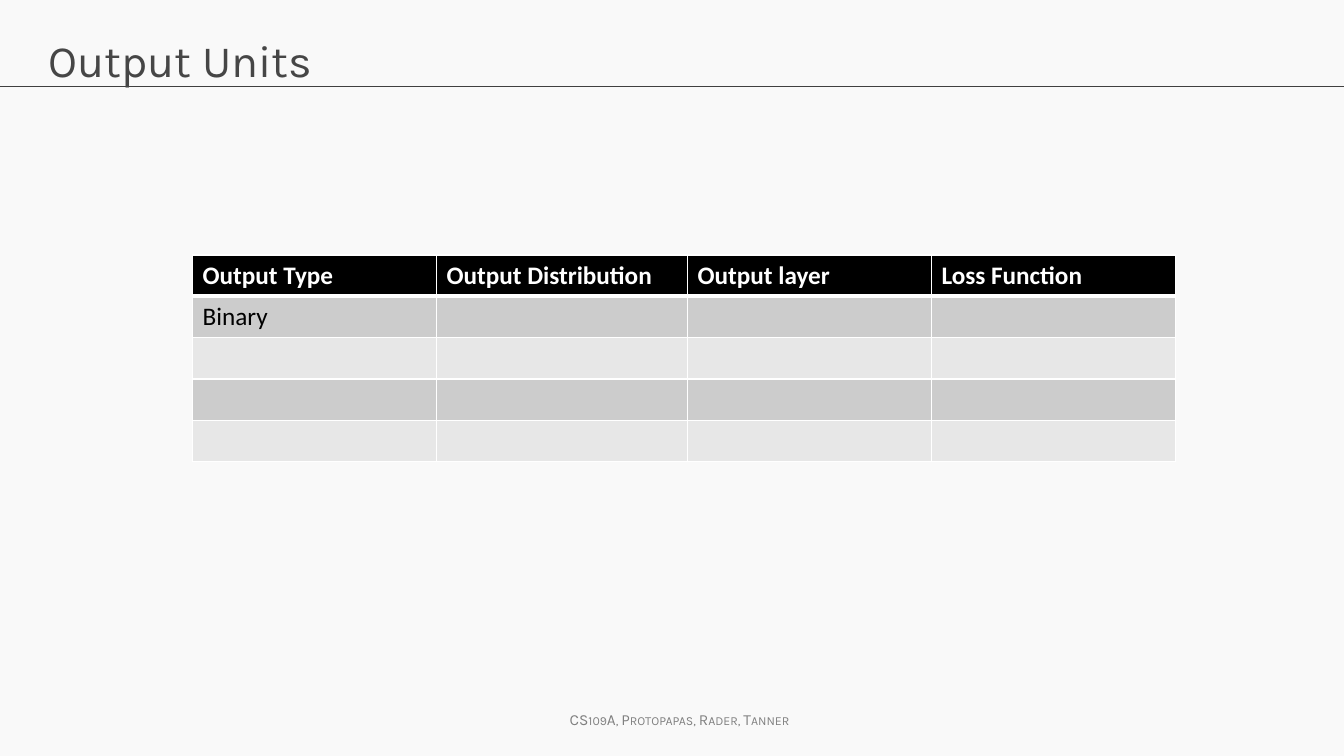
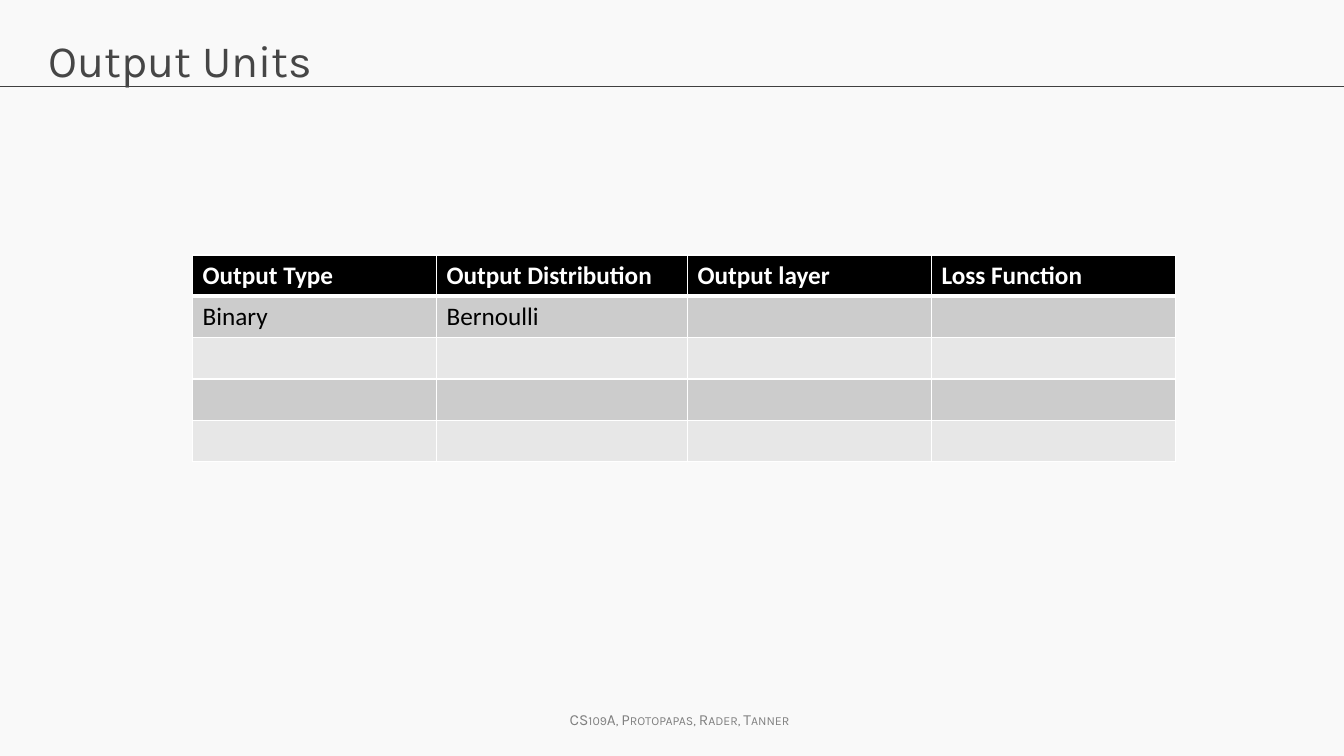
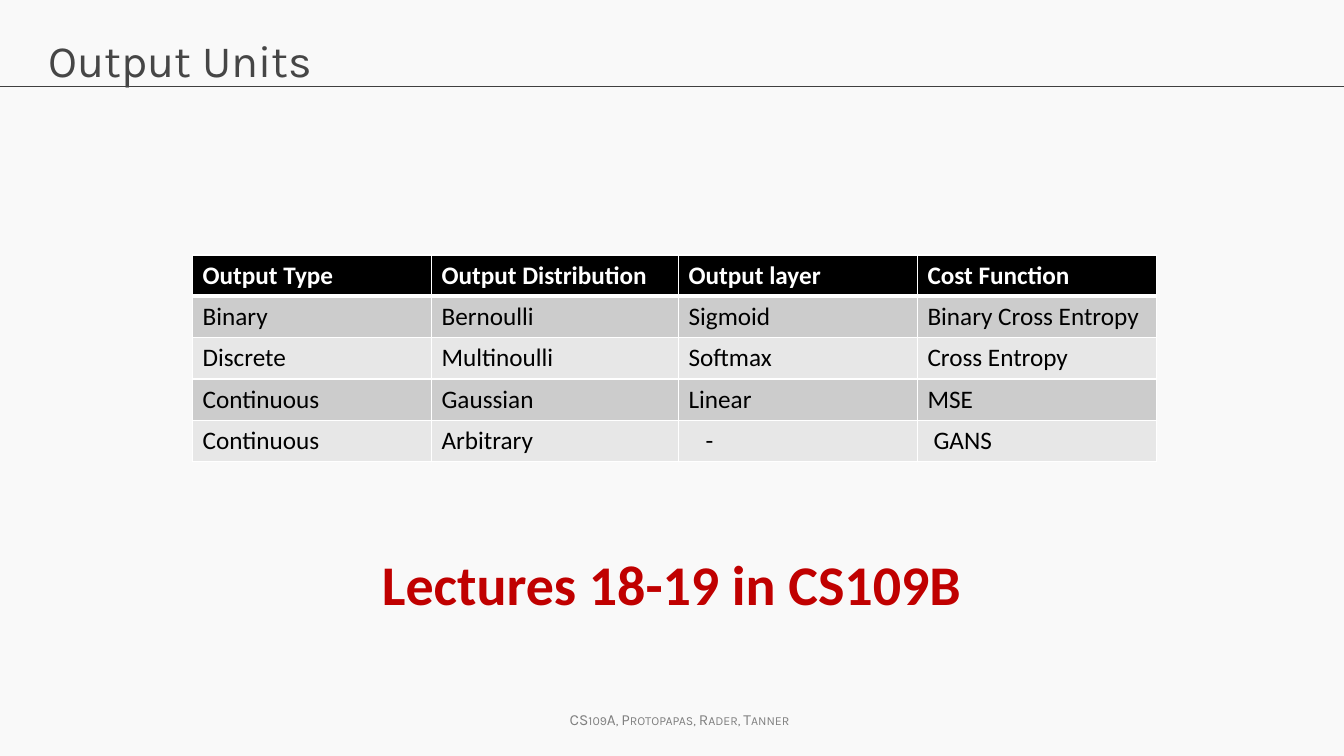
from lxml.etree import SubElement
from pptx import Presentation
from pptx.dml.color import RGBColor
from pptx.enum.shapes import MSO_CONNECTOR
from pptx.enum.text import MSO_ANCHOR, PP_ALIGN
from pptx.oxml.ns import qn
from pptx.util import Inches, Pt

COLORS = {
    "background": "F9F9F9",
    "rule": "404040",
    "title": "464646",
    "footer": "808080",
    "header": "000000",
    "header_text": "FFFFFF",
    "odd_row": "CCCCCC",
    "even_row": "E7E7E7",
    "body_text": "000000",
    "border": "FFFFFF",
    "notice": "C00000",
}
TITLE_FONT, BODY_FONT = "Karla", "Calibri"
TITLE = "Output Units"
FOOTER = "CS109A, Protopapas, Rader, Tanner"
HEADINGS = ["Output Type", "Output Distribution", "Output layer"]
ROW_COUNT, ROW_HEIGHT = 5, 0.41
INDENTS = {"-": 0.17, "GANS": 0.06}

SLIDES = [
    {
        "rows": [HEADINGS + ["Loss Function"], ["Binary"]],
        "widths": [2.42, 2.49, 2.42, 2.42],
    },
    {
        "rows": [HEADINGS + ["Loss Function"], ["Binary", "Bernoulli"]],
        "widths": [2.42, 2.49, 2.42, 2.42],
    },
    {
        "rows": [
            HEADINGS + ["Cost Function"],
            ["Binary", "Bernoulli", "Sigmoid", "Binary Cross Entropy"],
            ["Discrete", "Multinoulli", "Softmax", "Cross Entropy"],
            ["Continuous", "Gaussian", "Linear", "MSE"],
            ["Continuous", "Arbitrary", "-", "GANS"],
        ],
        "widths": [2.37, 2.45, 2.37, 2.37],
        "notice": "Lectures 18-19 in CS109B",
    },
]


def rgb(name):
    return RGBColor.from_string(COLORS[name])


def write(frame, text, size, font, color, bold=False):
    frame.text = text
    for run in frame.paragraphs[0].runs:
        run.font.size = Pt(size)
        run.font.name = font
        run.font.bold = bold
        run.font.color.rgb = rgb(color)


def add_text(slide, box, *style):
    label = slide.shapes.add_textbox(*map(Inches, box))
    label.text_frame.word_wrap = False
    write(label.text_frame, *style)
    return label


def set_borders(cell, top, bottom):
    properties = cell._tc.get_or_add_tcPr()
    for side, width in (("L", 1), ("R", 1), ("T", top), ("B", bottom)):
        line = SubElement(properties, qn(f"a:ln{side}"), w=str(Pt(width)))
        fill = SubElement(line, qn("a:solidFill"))
        SubElement(fill, qn("a:srgbClr"), val=COLORS["border"])


def share_on_layout(layout, slide):
    layout.background.fill.solid()
    layout.background.fill.fore_color.rgb = rgb("background")
    rule = slide.shapes.add_connector(
        MSO_CONNECTOR.STRAIGHT, 0, Inches(0.86), Inches(13.33), Inches(0.86))
    rule.line.color.rgb = rgb("rule")
    rule.line.width = Pt(0.75)
    SubElement(rule.element.spPr, qn("a:effectLst"))
    footer = add_text(slide, (5.49, 7, 2.5, 0.29), FOOTER, 11, TITLE_FONT, "footer")
    credit = footer.text_frame.paragraphs[0]
    credit.alignment = PP_ALIGN.CENTER
    credit.runs[0].font._element.set("cap", "small")
    for part in (rule, footer):
        layout.shapes.element.append(part.element)


def add_title(slide):
    title = slide.shapes.title
    title.left, title.top, title.width, title.height = map(Inches, (0.38, 0.24, 12.57, 0.84))
    frame = title.text_frame
    write(frame, TITLE, 32, TITLE_FONT, "title")
    frame.vertical_anchor = MSO_ANCHOR.TOP
    frame.margin_top = Inches(0.08)
    frame.paragraphs[0].alignment = PP_ALIGN.LEFT


def add_units_table(slide, rows, widths):
    table = slide.shapes.add_table(
        ROW_COUNT, len(widths), Inches(1.91), Inches(2.53),
        Inches(sum(widths)), Inches(ROW_COUNT * ROW_HEIGHT)).table
    for column, width in zip(table.columns, widths):
        column.width = Inches(width)
    for r in range(ROW_COUNT):
        table.rows[r].height = Inches(ROW_HEIGHT)
        texts = rows[r] if r < len(rows) else []
        is_header = r == 0
        fill = "header" if is_header else "odd_row" if r % 2 else "even_row"
        for c in range(len(widths)):
            cell = table.cell(r, c)
            set_borders(cell, 3 if r == 1 else 1, 3 if is_header else 1)
            cell.fill.solid()
            cell.fill.fore_color.rgb = rgb(fill)
            if c < len(texts):
                write(cell.text_frame, texts[c], 18, BODY_FONT,
                      "header_text" if is_header else "body_text", is_header)
                cell.margin_left = Inches(0.1 + INDENTS.get(texts[c], 0))


def main():
    deck = Presentation()
    deck.slide_width, deck.slide_height = Inches(13.33), Inches(7.5)
    layout = deck.slide_layouts[5]
    for content in SLIDES:
        slide = deck.slides.add_slide(layout)
        if len(deck.slides) == 1:
            share_on_layout(layout, slide)
        add_title(slide)
        add_units_table(slide, content["rows"], content["widths"])
        if "notice" in content:
            add_text(slide, (3.69, 5.4, 6.01, 0.77), content["notice"],
                     40, BODY_FONT, "notice", True)
    deck.save("out.pptx")


if __name__ == "__main__":
    main()
